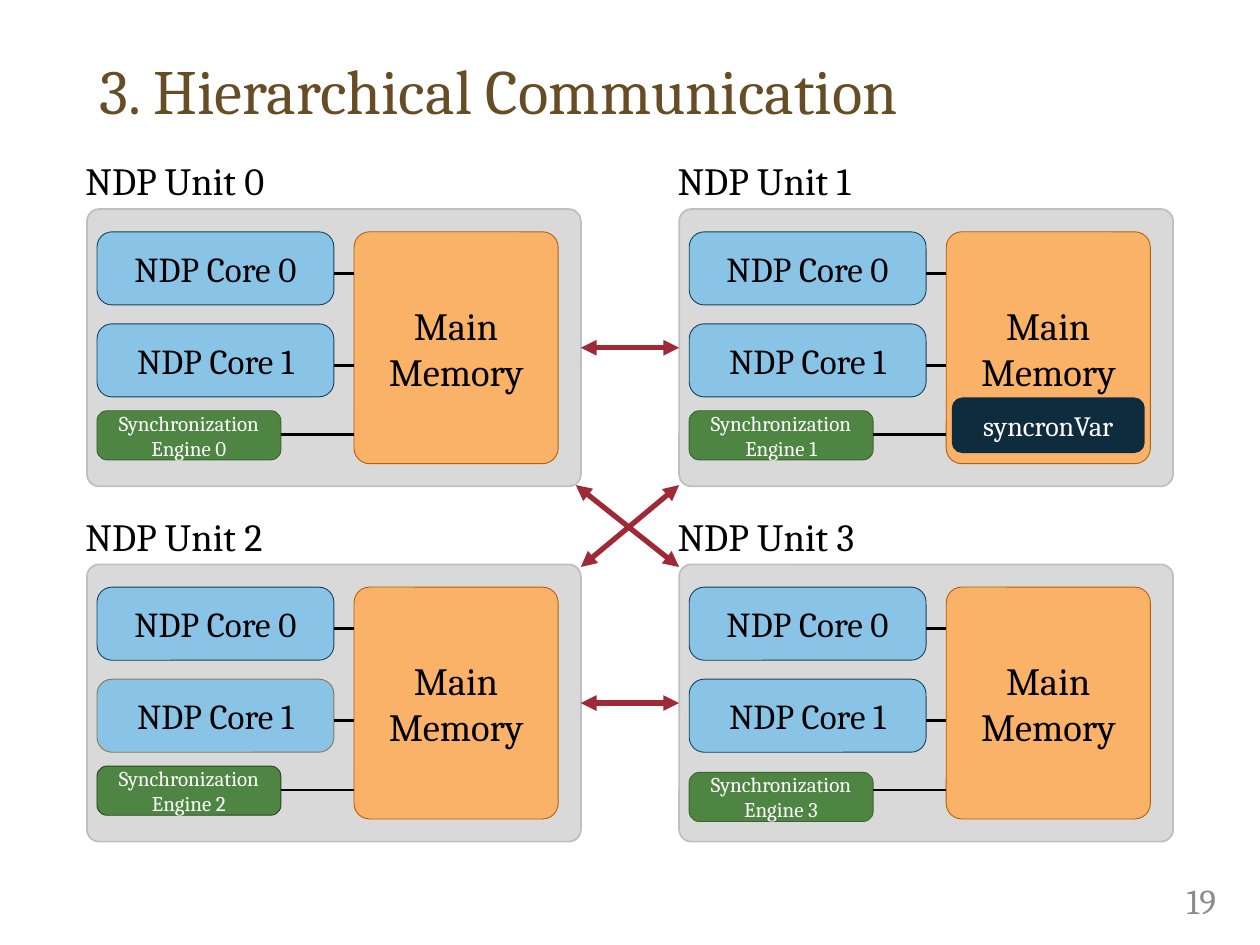
from lxml import etree
from pptx import Presentation
from pptx.dml.color import RGBColor
from pptx.enum.shapes import MSO_CONNECTOR, MSO_SHAPE
from pptx.enum.text import MSO_ANCHOR, PP_ALIGN
from pptx.oxml.ns import qn
from pptx.util import Inches, Pt

ROUNDED = MSO_SHAPE.ROUNDED_RECTANGLE
STRAIGHT = MSO_CONNECTOR.STRAIGHT
MIDDLE = MSO_ANCHOR.MIDDLE
CENTER, LEFT, RIGHT = PP_ALIGN.CENTER, PP_ALIGN.LEFT, PP_ALIGN.RIGHT

FONT = "Cambria"
BLACK = RGBColor(0x00, 0x00, 0x00)
WHITE = RGBColor(0xFF, 0xFF, 0xFF)
BROWN = RGBColor(0x67, 0x4D, 0x26)
NUMBER_GRAY = RGBColor(0x8C, 0x8C, 0x8C)
UNIT_FILL, UNIT_LINE = RGBColor(0xD9, 0xD9, 0xD9), RGBColor(0xBF, 0xBF, 0xBF)
MEMORY_FILL, MEMORY_LINE = RGBColor(0xF9, 0xB2, 0x68), RGBColor(0xB4, 0x5F, 0x07)
CORE_FILL, CORE_LINE = RGBColor(0x89, 0xC3, 0xE5), RGBColor(0x14, 0x42, 0x5D)
ENGINE_FILL, ENGINE_LINE = RGBColor(0x4E, 0x85, 0x42), RGBColor(0x3B, 0x64, 0x32)
CORE_LINE_TAN = RGBColor(0x88, 0x79, 0x52)
ENGINE_LINE_DARK = RGBColor(0x27, 0x42, 0x21)
NAVY = RGBColor(0x0E, 0x2C, 0x3E)
RED = RGBColor(0x9F, 0x29, 0x36)

# Grid of units: two columns, two rows
UNIT_WIDTH, UNIT_HEIGHT = 3.92, 2.2
COLUMNS = (0.69, 5.39)
ROWS = (1.66, 4.48)
CORE_PITCH = 0.73

presentation = Presentation()
presentation.slide_width, presentation.slide_height = Inches(10), Inches(7.5)
slide = presentation.slides.add_slide(presentation.slide_layouts[5])


def add_box(left, top, width, height, corner, fill, outline, weight,
            lines=(), size=20, color=BLACK):
    shape = slide.shapes.add_shape(
        ROUNDED, Inches(left), Inches(top), Inches(width), Inches(height))
    shape.adjustments[0] = corner
    shape.shadow.inherit = False
    shape.fill.solid()
    shape.fill.fore_color.rgb = fill
    shape.line.color.rgb = outline
    shape.line.width = Pt(weight)
    frame = shape.text_frame
    frame.vertical_anchor = MIDDLE
    for index, text in enumerate(lines):
        paragraph = frame.add_paragraph() if index else frame.paragraphs[0]
        paragraph.text = text
        paragraph.alignment = CENTER
        paragraph.font.name, paragraph.font.size = FONT, Pt(size)
        paragraph.font.color.rgb = color


def add_line(start, end, color, weight, arrows=False):
    connector = slide.shapes.add_connector(
        STRAIGHT, *(Inches(value) for value in (*start, *end)))
    connector.line.color.rgb = color
    connector.line.width = Pt(weight)
    if arrows:
        line = connector.line._get_or_add_ln()
        for tag in ("a:headEnd", "a:tailEnd"):
            etree.SubElement(line, qn(tag), type="triangle")
    etree.SubElement(connector._element.spPr, qn("a:effectLst"))


# Title
title = slide.shapes.title
title.left, title.top = Inches(COLUMNS[0]), Inches(0.2)
title.width, title.height = Inches(8.62), Inches(1.1)
title.text_frame.text = "3. Hierarchical Communication"
title.text_frame.vertical_anchor = MIDDLE
paragraph = title.text_frame.paragraphs[0]
paragraph.alignment = LEFT
paragraph.line_spacing = 0.9
paragraph.font.name, paragraph.font.size = FONT, Pt(36)
paragraph.font.color.rgb = BROWN

# NDP units, numbered row by row
for unit in range(4):
    left, top = COLUMNS[unit % 2], ROWS[unit // 2]
    memory_left, core_left = left + 2.12, left + 0.08
    core_top = top + 0.18

    label = slide.shapes.add_textbox(
        Inches(left - 0.11), Inches(top - 0.46), Inches(1.8), Inches(0.47))
    label.text_frame.word_wrap = False
    paragraph = label.text_frame.paragraphs[0]
    paragraph.text = f"NDP Unit {unit}"
    paragraph.font.name, paragraph.font.size = FONT, Pt(22)
    paragraph.font.color.rgb = BLACK

    add_box(left, top, UNIT_WIDTH, UNIT_HEIGHT, 0.044, UNIT_FILL, UNIT_LINE, 1)
    add_box(memory_left, core_top, 1.62, 1.84, 0.076, MEMORY_FILL, MEMORY_LINE,
            0.5, ["Main Memory"], 22)

    for core in range(2):
        core_line = CORE_LINE_TAN if (unit, core) == (2, 1) else CORE_LINE
        add_box(core_left, core_top + core * CORE_PITCH, 1.88, 0.58, 0.204,
                CORE_FILL, core_line, 0.5, [f"NDP Core {core}"])
        link_y = top + 0.51 + core * CORE_PITCH
        add_line((core_left + 1.88, link_y), (memory_left, link_y), BLACK, 1.5)

    engine_top = top + (1.65 if unit == 3 else 1.6)
    engine_line = ENGINE_LINE_DARK if unit == 2 else ENGINE_LINE
    add_box(core_left, engine_top, 1.46, 0.39, 0.204, ENGINE_FILL, engine_line,
            0.5, ["Synchronization", f"Engine {unit}"], 12, WHITE)
    add_line((core_left + 1.46, top + 1.79), (memory_left, top + 1.79), BLACK, 1.5)

# Synchronization variable in the memory of unit 1
add_box(7.57, 3.17, 1.5, 0.41, 0.167, NAVY, NAVY, 2.25, ["syncronVar"], 16, WHITE)

# Links between units: two straight, two diagonal
gap_left, gap_right = COLUMNS[0] + UNIT_WIDTH, COLUMNS[1]
upper, lower = ROWS[0] + UNIT_HEIGHT - 0.01, ROWS[1] + 0.02
for top in ROWS:
    add_line((gap_left, top + UNIT_HEIGHT / 2), (gap_right, top + UNIT_HEIGHT / 2),
             RED, 3, arrows=True)
add_line((gap_left - 0.04, upper), (gap_right, lower), RED, 3, arrows=True)
add_line((gap_left, lower), (gap_right, upper), RED, 3, arrows=True)

# Slide number
number = slide.shapes.add_textbox(Inches(8.67), Inches(6.95), Inches(1.08), Inches(0.4))
number.text_frame.word_wrap = True
number.text_frame.vertical_anchor = MIDDLE
paragraph = number.text_frame.paragraphs[0]
paragraph.text = "19"
paragraph.alignment = RIGHT
paragraph.font.name, paragraph.font.size = FONT, Pt(20)
paragraph.font.color.rgb = NUMBER_GRAY

presentation.save("out.pptx")
